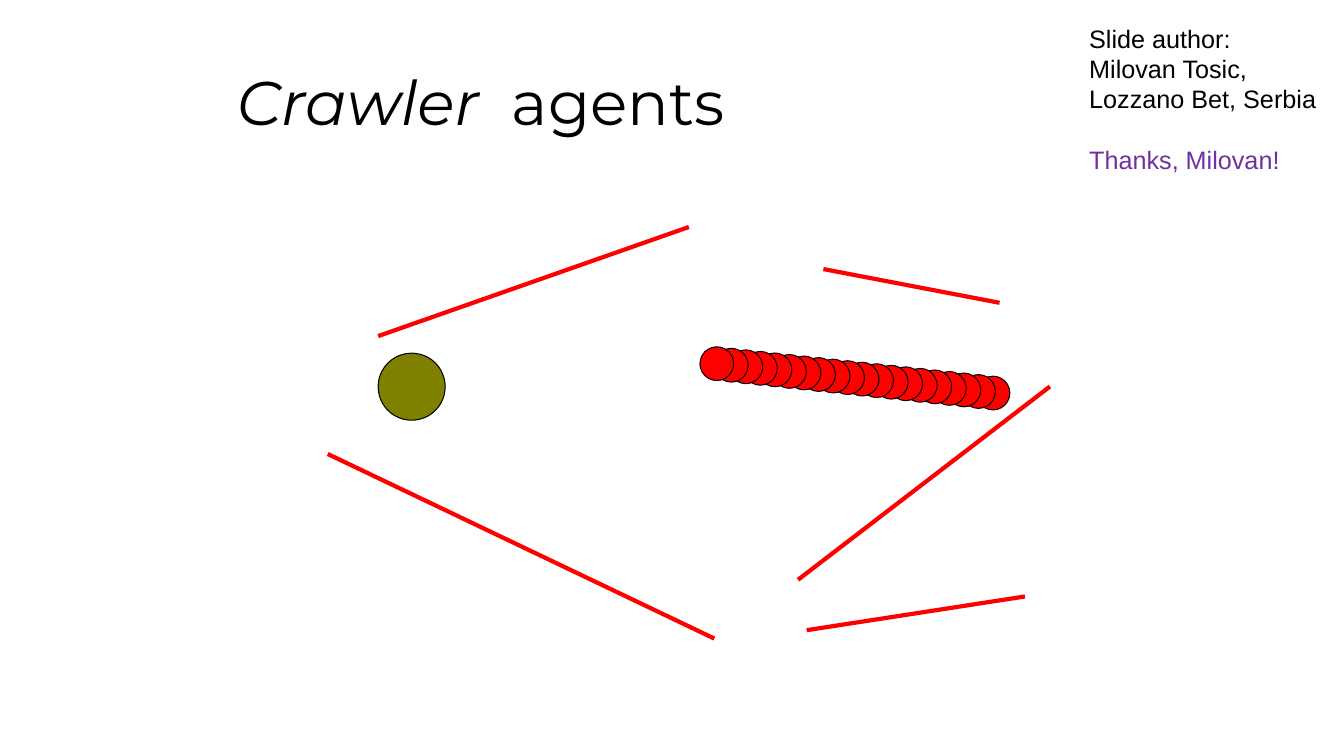
from dataclasses import dataclass

from lxml.etree import SubElement
from pptx import Presentation
from pptx.dml.color import RGBColor
from pptx.enum.shapes import MSO_CONNECTOR, MSO_SHAPE
from pptx.oxml.ns import qn
from pptx.util import Cm, Pt


@dataclass(frozen=True)
class Theme:
    ink: str = "000000"
    thanks: str = "7030A0"
    food: str = "808000"
    crawler: str = "FF0000"
    title_font: str = "Montserrat"
    body_font: str = "Arial"
    title_size: float = 44
    body_size: float = 18
    outline: float = 0.75
    wall: float = 3


THEME = Theme()
WALLS = [
    ((0, 5.72), (9.74, 10.37)),
    ((12.07, 10.16), (17.57, 9.31)),
    ((11.85, 8.89), (18.2, 4.02)),
    ((12.49, 1.06), (16.93, 1.91)),
    ((1.27, 2.75), (9.1, 0)),
]
SEGMENTS = 20
HEAD, TAIL = (9.38, 3.02), (16.34, 3.76)


def add_run(p, text, *, font=THEME.body_font, size=THEME.body_size,
            color=THEME.ink, italic=False, spacing=0):
    r = p.add_run()
    r.text = text
    r.font.name = font
    r.font.size = Pt(size)
    r.font.italic = italic
    r.font.color.rgb = RGBColor.from_string(color)
    if spacing:
        r.font._element.set("spc", str(round(spacing * 100)))
    return r


def add_box(s, box):
    tf = s.shapes.add_textbox(*(Cm(v) for v in box)).text_frame
    tf.word_wrap = True
    return tf


def add_circle(s, x, y, size, color):
    sp = s.shapes.add_shape(MSO_SHAPE.OVAL, Cm(x), Cm(y), Cm(size), Cm(size))
    sp.shadow.inherit = False
    sp.fill.solid()
    sp.fill.fore_color.rgb = RGBColor.from_string(color)
    sp.line.color.rgb = RGBColor.from_string(THEME.ink)
    sp.line.width = Pt(THEME.outline)


def add_wall(s, x1, y1, x2, y2):
    line = s.shapes.add_connector(MSO_CONNECTOR.STRAIGHT, Cm(x1), Cm(y1), Cm(x2), Cm(y2))
    line.line.color.rgb = RGBColor.from_string(THEME.crawler)
    line.line.width = Pt(THEME.wall)
    SubElement(line._element.spPr, qn("a:effectLst"))


def add_title(s, box):
    p = add_box(s, box).paragraphs[0]
    style = {"font": THEME.title_font, "size": THEME.title_size}
    add_run(p, "Crawler", italic=True, **style)
    add_run(p, " ", spacing=11.5, **style)
    add_run(p, "agents", **style)


def add_credit(s, box):
    tf = add_box(s, box)
    p = tf.paragraphs[0]
    add_run(p, "Slide author:")
    for text in ("Milovan Tosic,", "Lozzano Bet, Serbia"):
        add_run(tf.add_paragraph(), text)
    p = tf.add_paragraph()
    p.space_before = Pt(21.5)
    add_run(p, "Thanks, Milovan!", color=THEME.thanks)


def add_arena(s, left, top):
    for (x1, y1), (x2, y2) in WALLS:
        add_wall(s, left + x1, top + y1, left + x2, top + y2)
    add_circle(s, left + 1.27, top + 3.18, 1.69, THEME.food)
    for i in reversed(range(SEGMENTS)):
        x, y = (a + (b - a) * i / (SEGMENTS - 1) for a, b in zip(HEAD, TAIL))
        add_circle(s, left + x, top + y, 0.85, THEME.crawler)


def main():
    prs = Presentation()
    prs.slide_width, prs.slide_height = Cm(33.87), Cm(19.05)
    s = prs.slides.add_slide(prs.slide_layouts[6])
    add_arena(s, 8.26, 5.72)
    add_title(s, (5.72, 1.48, 23.5, 2.12))
    add_credit(s, (27.2, 0.46, 6.58, 4.11))
    prs.save("out.pptx")


if __name__ == "__main__":
    main()
